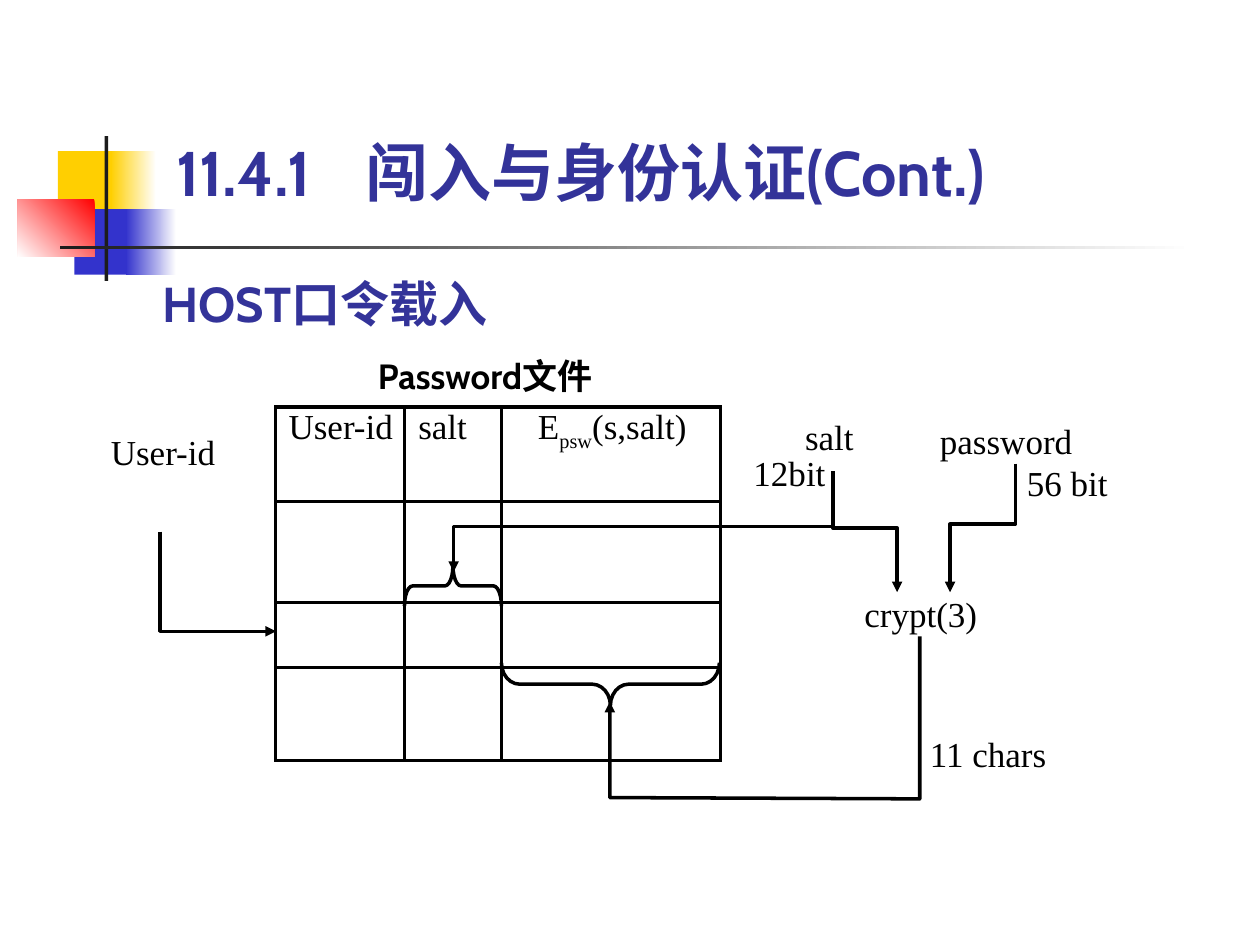
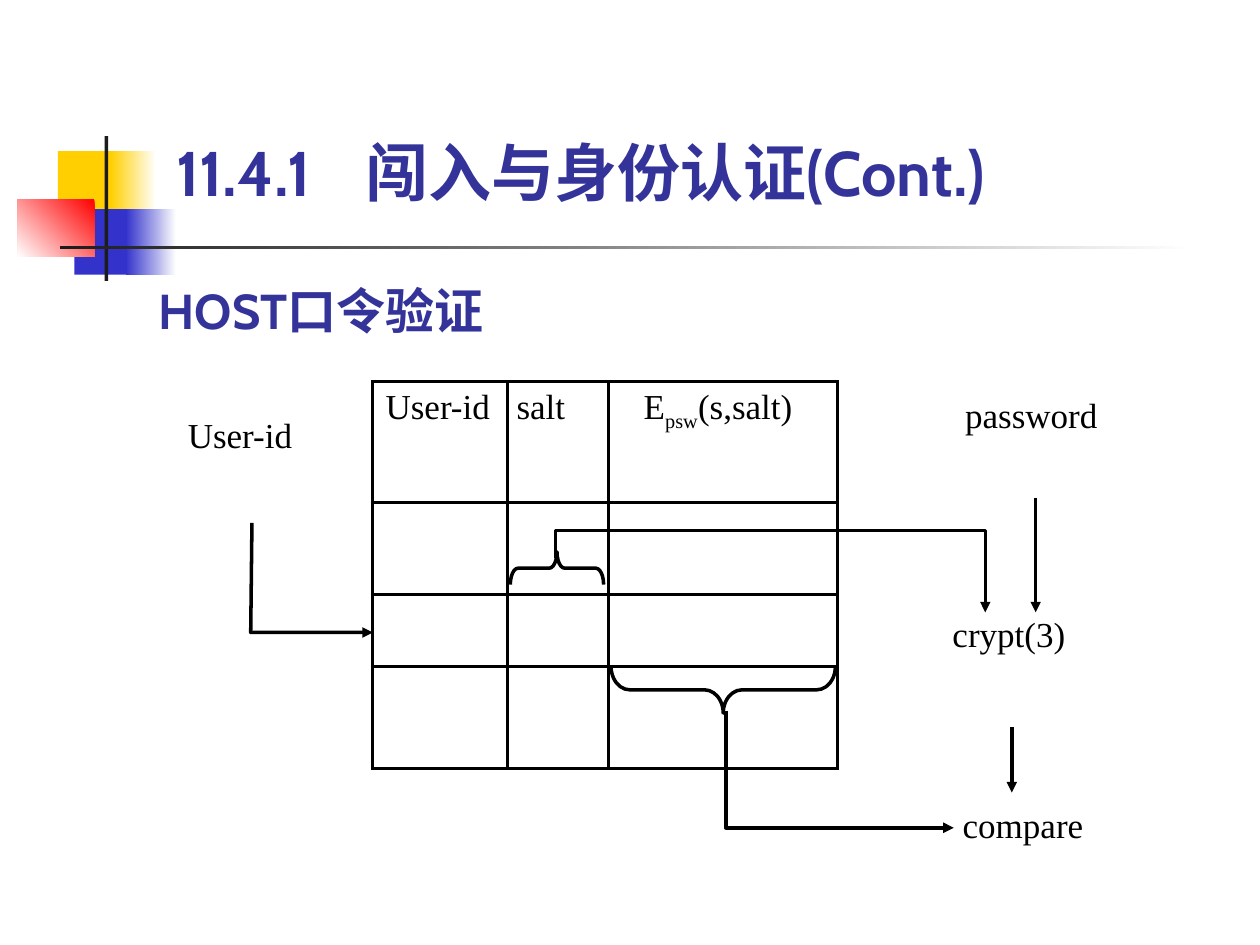
from lxml import etree
from pptx import Presentation
from pptx.dml import color
from pptx.enum import shapes, text
from pptx.oxml import ns
from pptx.util import Inches, Pt

INK, NAVY, WHITE = "000000", "333399", "FFFFFF"
SERIF, SANS = "Times New Roman", "Cabin"
TITLE = "11.4.1\t闯入与身份认证(Cont.)"
TITLE_BOX, TITLE_TAB = (1.4, 0.93, 7.29, 0.73), 1.4
HEADER = [["User-id"], ["salt"], ["E", "psw", "(s,salt)"]]

# Box, colours (two make a gradient), gradient angle
EMBLEM = [
    ((0.46, 1.2, 0.48, 0.52), ["FFCF01"], None),
    ((0.88, 1.2, 0.36, 0.52), [WHITE, "FFCF01"], 180),
    ((0.59, 1.66, 0.46, 0.52), ["3333CC"], None),
    ((1, 1.66, 0.4, 0.52), [WHITE, "3333CC"], 180),
    ((0.14, 1.58, 0.61, 0.46), ["FF0000", WHITE], 225),
    ((0.83, 1.08, 0.03, 1.15), ["1C1C1C"], None),
    ((0.48, 1.95, 9, 0.03), [WHITE, "1C1C1C"], 180),
]

# Labels: text, left, top, width. Braces: box, whether the tip points up.
# Arrows: the points they run through, the head at the last.
SLIDES = [
    {
        "heading": ("HOST口令载入", (1.29, 2.17, 2.72, 0.47)),
        "caption": ("Password文件", 3, 2.81, 1.94),
        "columns": [2.19, 3.21, 3.98, 5.72],
        "rows": [3.23, 3.98, 4.78, 5.3, 6.04],
        "header_insets": [0.1, 0.11, 0.29],
        "header_top": 0.01,
        "labels": [
            ("User-id", 0.88, 3.42, 0.86),
            ("salt", 6.39, 3.3, 0.46),
            ("12bit", 5.98, 3.58, 0.68),
            ("password", 7.46, 3.33, 1.17),
            ("56 bit", 8.15, 3.66, 0.82),
            ("crypt(3)", 6.86, 4.7, 0.95),
            ("11 chars", 7.38, 5.81, 1.12),
        ],
        "braces": [((3.98, 5.26, 1.73, 0.34), False),
                   ((3.21, 4.49, 0.77, 0.32), True)],
        "arrows": [
            [(1.27, 4.22), (1.27, 5.01), (2.19, 5.01)],
            [(6.61, 4.18), (3.6, 4.18), (3.6, 4.54)],
            [(6.61, 3.74), (6.61, 4.19), (7.12, 4.19), (7.12, 4.7)],
            [(8.06, 3.68), (8.06, 4.16), (7.54, 4.16), (7.54, 4.7)],
            [(7.3, 5.05), (7.3, 6.34), (4.84, 6.33), (4.84, 5.57)],
        ],
    },
    {
        "heading": ("HOST口令验证", (1.26, 2.23, 2.88, 0.47)),
        "caption": None,
        "columns": [2.96, 4.03, 4.83, 6.65],
        "rows": [3.03, 3.99, 4.72, 5.29, 6.1],
        "header_insets": [0.1, 0.07, 0.28],
        "header_top": 0.05,
        "labels": [
            ("User-id", 1.49, 3.28, 1.02),
            ("password", 7.66, 3.12, 1.13),
            ("crypt(3)", 7.56, 4.86, 1),
            ("compare", 7.64, 6.38, 1.1),
        ],
        "braces": [((4.85, 5.29, 1.78, 0.37), False),
                   ((4.05, 4.38, 0.74, 0.26), True)],
        "arrows": [
            [(2, 4.15), (1.99, 5.02), (2.96, 5.02)],
            [(4.41, 4.43), (4.41, 4.21), (7.82, 4.21), (7.82, 4.86)],
            [(8.22, 3.95), (8.22, 4.86)],
            [(8.03, 5.77), (8.03, 6.29)],
            [(5.76, 5.64), (5.76, 6.57), (7.57, 6.57)],
        ],
    },
]


def rgb(value):
    return color.RGBColor.from_string(value)


def inches(values):
    return [Inches(value) for value in values]


def add_xml(parent, tag, **attributes):
    return etree.SubElement(parent, ns.qn(tag), attributes)


def format_font(font, size, name, ink, bold=False):
    font.size, font.name, font.bold = Pt(size), name, bold
    font.color.rgb = rgb(ink)


def clear_margins(frame):
    frame.margin_left = frame.margin_right = 0
    frame.margin_top = frame.margin_bottom = 0
    frame.word_wrap = True
    frame.auto_size = text.MSO_AUTO_SIZE.NONE


def fill_placeholder(holder, words, box, size, anchor, tab=None):
    holder.left, holder.top, holder.width, holder.height = inches(box)
    frame = holder.text_frame
    clear_margins(frame)
    frame.vertical_anchor = anchor
    frame.text = words
    para = frame.paragraphs[0]
    para.alignment = text.PP_ALIGN.LEFT
    para.space_before = Pt(0)
    props = para._p.get_or_add_pPr()
    props.set("marL", "0")
    props.set("indent", "0")
    add_xml(props, "a:buNone")
    if tab:
        stops = add_xml(props, "a:tabLst")
        add_xml(stops, "a:tab", pos=str(Inches(tab)), algn="l")
    format_font(para.runs[0].font, size, SANS, NAVY, True)


def add_label(slide, words, left, top, width, name=SERIF, bold=False):
    box = slide.shapes.add_textbox(*inches((left, top, width, 0.33)))
    clear_margins(box.text_frame)
    box.text_frame.text = words
    format_font(box.text_frame.paragraphs[0].runs[0].font, 20, name, INK, bold)


def draw_line(shape):
    shape.line.color.rgb = rgb(INK)
    shape.line.width = Pt(2)


def add_arrow(slide, points):
    points = [tuple(inches(point)) for point in points]
    if len(points) == 2:
        arrow = slide.shapes.add_connector(
            shapes.MSO_CONNECTOR.STRAIGHT, *points[0], *points[1])
        add_xml(arrow.element.spPr, "a:effectLst")
    else:
        builder = slide.shapes.build_freeform(*points[0])
        builder.add_line_segments(points[1:], close=False)
        arrow = builder.convert_to_shape()
        arrow.fill.background()
        arrow.shadow.inherit = False
    draw_line(arrow)
    add_xml(arrow.element.spPr.find(ns.qn("a:ln")), "a:tailEnd", type="triangle")


def add_brace(slide, box, points_up):
    """Turn a left brace on its side so that it covers the given box."""
    left, top, length, depth = box
    brace = slide.shapes.add_shape(
        shapes.MSO_SHAPE.LEFT_BRACE,
        *inches((left + (length - depth) / 2, top + (depth - length) / 2,
                 depth, length)))
    brace.rotation = 90 if points_up else 270
    brace.adjustments[0] = length / 12 / depth
    brace.fill.background()
    brace.shadow.inherit = False
    draw_line(brace)


def add_password_table(slide, columns, rows, insets, top_inset):
    frame = slide.shapes.add_table(
        len(rows) - 1, len(columns) - 1,
        *inches((columns[0], rows[0],
                 columns[-1] - columns[0], rows[-1] - rows[0])))
    table = frame.table
    table.first_row = table.horz_banding = False
    for edges, tracks, side in ((columns, table.columns, "width"),
                                (rows, table.rows, "height")):
        for track, start, end in zip(tracks, edges, edges[1:]):
            setattr(track, side, Inches(end - start))
    for column, (parts, inset) in enumerate(zip(HEADER, insets)):
        cell = table.cell(0, column)
        cell.margin_left, cell.margin_right = Inches(inset), 0
        cell.margin_top = Inches(top_inset)
        para = cell.text_frame.paragraphs[0]
        for part in parts:
            span = para.add_run()
            span.text = part
            format_font(span.font, 20, SERIF, INK)
            if part == "psw":
                span._r.get_or_add_rPr().set("baseline", "-25000")
    for cell in table.iter_cells():
        cell.fill.background()
    for props in frame.element.iter(ns.qn("a:tcPr")):
        for index, side in enumerate("LRTB"):
            border = add_xml(props, f"a:ln{side}", w=str(Pt(2)))
            add_xml(add_xml(border, "a:solidFill"), "a:srgbClr", val=INK)
            props.insert(index, border)


def move_emblem_to_layout(slide):
    """Draw the emblem and rule, then hand them to the layout all slides share."""
    layout_tree = slide.slide_layout.shapes.element
    for number, (box, colours, angle) in enumerate(EMBLEM):
        block = slide.shapes.add_shape(shapes.MSO_SHAPE.RECTANGLE, *inches(box))
        block.shadow.inherit = False
        block.line.fill.background()
        if angle is None:
            block.fill.solid()
            block.fill.fore_color.rgb = rgb(colours[0])
        else:
            block.fill.gradient()
            block.fill.gradient_angle = angle
            for stop, colour in zip(block.fill.gradient_stops, colours):
                stop.color.rgb = rgb(colour)
        block.element.nvSpPr.cNvPr.set("id", str(100 + number))
        layout_tree.append(block.element)


def build_slide(slide, content):
    add_password_table(slide, content["columns"], content["rows"],
                       content["header_insets"], content["header_top"])
    for label in content["labels"]:
        add_label(slide, *label)
    for brace in content["braces"]:
        add_brace(slide, *brace)
    for points in content["arrows"]:
        add_arrow(slide, points)
    if content["caption"]:
        add_label(slide, *content["caption"], name=SANS, bold=True)
    heading, box = content["heading"]
    fill_placeholder(slide.placeholders[1], heading, box, 28,
                     text.MSO_ANCHOR.TOP)
    fill_placeholder(slide.shapes.title, TITLE, TITLE_BOX, 36,
                     text.MSO_ANCHOR.BOTTOM, TITLE_TAB)


def main():
    deck = Presentation()
    deck.slide_width, deck.slide_height = Inches(10), Inches(7.5)
    layout = deck.slide_layouts[1]
    for number, content in enumerate(SLIDES):
        slide = deck.slides.add_slide(layout)
        if number == 0:
            move_emblem_to_layout(slide)
        build_slide(slide, content)
    deck.save("out.pptx")


if __name__ == "__main__":
    main()
